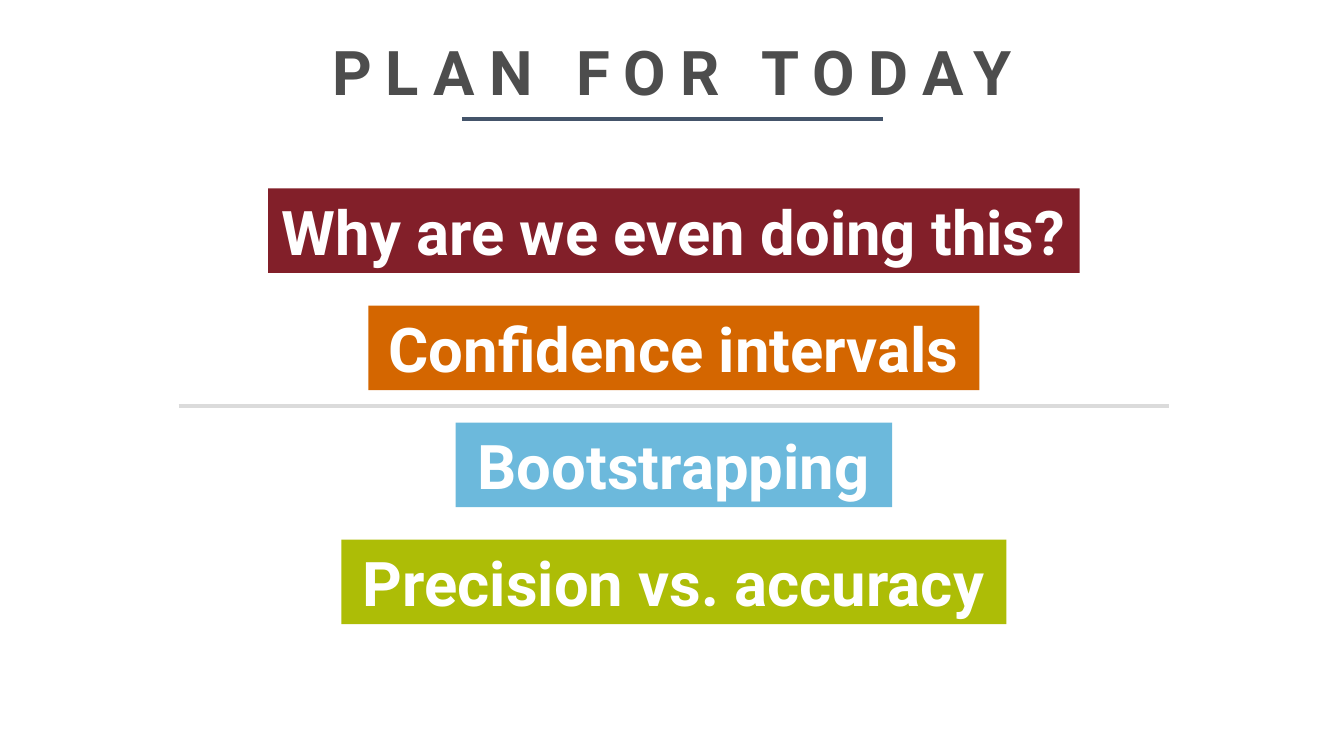
from lxml.etree import SubElement
from pptx import Presentation
from pptx.dml.color import RGBColor
from pptx.enum.shapes import MSO_CONNECTOR, MSO_SHAPE
from pptx.enum.text import MSO_ANCHOR, MSO_AUTO_SIZE, PP_ALIGN
from pptx.oxml.ns import qn
from pptx.util import Cm, Pt

WHITE = RGBColor(0xFF, 0xFF, 0xFF)
CHARCOAL = RGBColor(0x4D, 0x4D, 0x4D)
SLATE = RGBColor(0x44, 0x54, 0x6A)
SILVER = RGBColor(0xDB, 0xDB, 0xDB)
MAROON = RGBColor(0x82, 0x1F, 0x29)
ORANGE = RGBColor(0xD4, 0x66, 0x00)
SKY = RGBColor(0x6C, 0xB9, 0xDC)
LIME = RGBColor(0xAD, 0xBD, 0x06)

TOPICS = [
    ("Why are we even doing this?", MAROON, Cm(20.45)),
    ("Confidence intervals", ORANGE, Cm(15.4)),
    ("Bootstrapping", SKY, Cm(11)),
    ("Precision vs. accuracy", LIME, Cm(16.76)),
]


def set_text(tf, text, color):
    """Fill a text frame with one bold centred line and return its paragraph."""
    tf.vertical_anchor = MSO_ANCHOR.MIDDLE
    p = tf.paragraphs[0]
    p.text = text
    p.alignment = PP_ALIGN.CENTER
    p.font.name = "Roboto"
    p.font.size = Pt(44)
    p.font.bold = True
    p.font.color.rgb = color
    return p


def add_rule(s, center, y, width, color):
    """Draw a horizontal line centred on a given x."""
    left = center - width // 2
    rule = s.shapes.add_connector(MSO_CONNECTOR.STRAIGHT, left, y, left + width, y)
    rule.line.color.rgb = color
    rule.line.width = Pt(3)
    SubElement(rule._element.spPr, qn("a:effectLst"))


def add_title(s, text, left, top, width, height):
    """Place the letter-spaced title in its box, with a rule below it."""
    title = s.shapes.title
    title.left, title.top, title.width, title.height = left, top, width, height
    title.text_frame.auto_size = MSO_AUTO_SIZE.NONE
    p = set_text(title.text_frame, text, CHARCOAL)
    p.line_spacing = 1.1
    p.runs[0]._r.get_or_add_rPr().set("spc", "1000")
    add_rule(s, left + width // 2, top + height + Cm(0.03), Cm(10.6), SLATE)


def add_topics(s, topics, left, top, width, height):
    """Stack centred topic bars in a box, with a divider across its middle."""
    bar_height = Cm(2.13)
    center = left + width // 2
    pitch = (height - bar_height) // (len(topics) - 1)
    for i, (text, color, bar_width) in enumerate(topics):
        bar = s.shapes.add_shape(MSO_SHAPE.RECTANGLE, center - bar_width // 2,
                                 top + i * pitch, bar_width, bar_height)
        bar.shadow.inherit = False
        bar.fill.solid()
        bar.fill.fore_color.rgb = color
        bar.line.fill.background()
        set_text(bar.text_frame, text, WHITE)
    add_rule(s, left + width // 2, top + height // 2, width, SILVER)


def main():
    """Build the plan slide and save it."""
    prs = Presentation()
    prs.slide_width, prs.slide_height = Cm(33.87), Cm(19.05)
    s = prs.slides.add_slide(prs.slide_layouts[5])
    add_title(s, "PLAN FOR TODAY", Cm(2.34), Cm(0.43), Cm(29.2), Cm(2.54))
    add_topics(s, TOPICS, Cm(4.5), Cm(4.75), Cm(24.97), Cm(10.98))
    prs.save("out.pptx")


if __name__ == "__main__":
    main()
